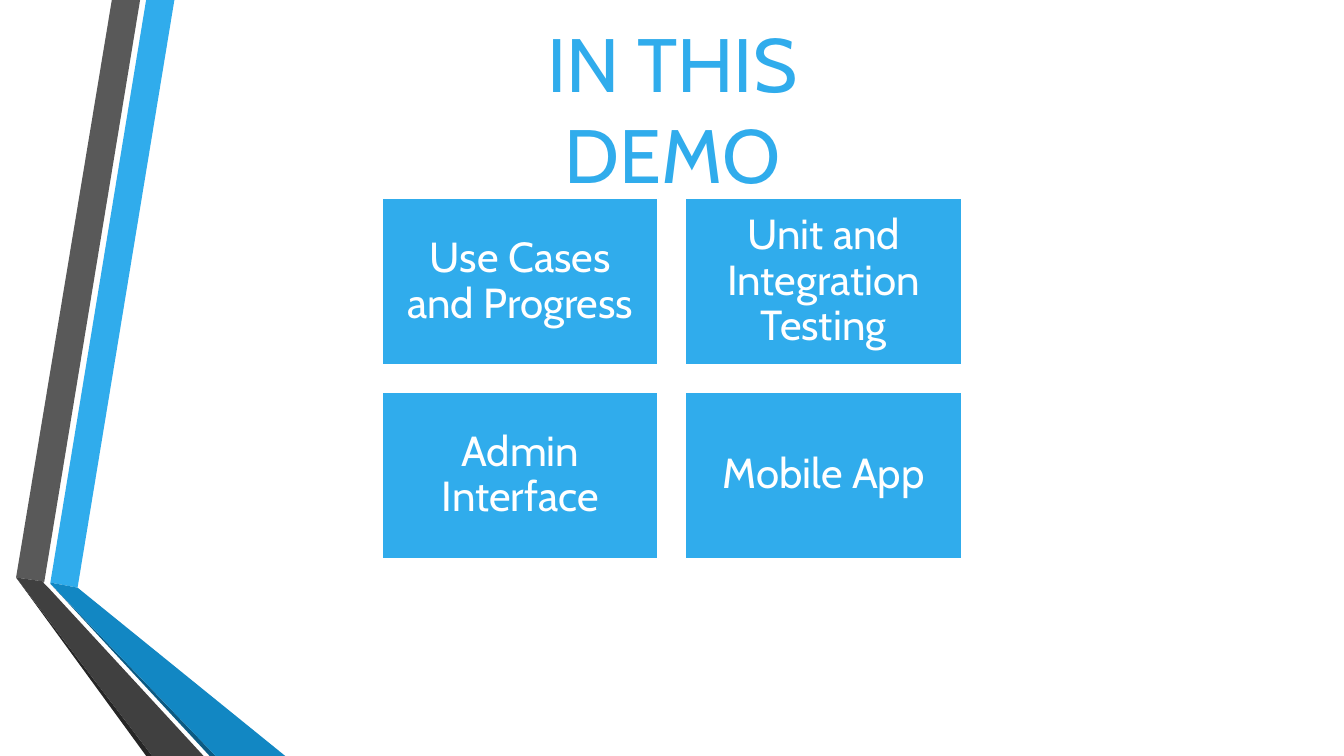
import pptx
import pptx.dml.color
import pptx.enum.shapes
import pptx.enum.text
import pptx.util

Inches = pptx.util.Inches
Pt = pptx.util.Pt
RGBColor = pptx.dml.color.RGBColor

WHITE = RGBColor(0xFF, 0xFF, 0xFF)
BLUE = RGBColor(0x30, 0xAC, 0xEC)
MID_BLUE = RGBColor(0x12, 0x87, 0xC3)
DARK_BLUE = RGBColor(0x0C, 0x5A, 0x82)
GRAY = RGBColor(0x59, 0x59, 0x59)
DARK_GRAY = RGBColor(0x40, 0x40, 0x40)
BLACK_GRAY = RGBColor(0x26, 0x26, 0x26)

RIBBONS = [
    (BLUE, [(0.5, 5.78), (0.77, 5.83), (1.73, 0), (1.45, 0)]),
    (GRAY, [(1.39, 0), (1.11, 0), (0.16, 5.73), (0.44, 5.77)]),
    (BLACK_GRAY, [(0.16, 5.73), (1.45, 7.5), (1.51, 7.5)]),
    (DARK_BLUE, [(0.5, 5.79), (2.08, 7.5), (2.14, 7.5)]),
    (MID_BLUE, [(0.5, 5.79), (2.14, 7.5), (2.83, 7.5), (0.77, 5.83), (0.5, 5.78)]),
    (DARK_GRAY, [(2.02, 7.5), (0.48, 5.83), (0.43, 5.78), (0.44, 5.77), (0.16, 5.73), (1.51, 7.5)]),
]
TOPICS = ["Use Cases and Progress", "Unit and Integration Testing", "Admin Interface", "Mobile App"]
TILE_LEFT, TILE_TOP = 3.79, 1.97
TILE_WIDTH, TILE_HEIGHT = 2.74, 1.65
TILE_STEP_X, TILE_STEP_Y = 3.01, 1.92


def apply(target, values):
    for name, value in values.items():
        setattr(target, name, value)


class SlideStyle:
    font = "Cabin"

    def __init__(self, page):
        self.page = page

    def add_label(self, box, text, size, color, frame_format, para_format):
        frame = box.text_frame
        apply(frame, {"word_wrap": True, **frame_format})
        para = frame.paragraphs[0]
        apply(para, {"alignment": pptx.enum.text.PP_ALIGN.CENTER, **para_format})
        span = para.add_run()
        span.text = text
        apply(span.font, {"name": self.font, "size": Pt(size)})
        span.font.color.rgb = color

    def paint(self, shape, color):
        shape.shadow.inherit = False
        shape.fill.solid()
        shape.fill.fore_color.rgb = color

    def ribbon(self, color, points):
        corners = [(Inches(x), Inches(y)) for x, y in points]
        builder = self.page.shapes.build_freeform(*corners[0])
        builder.add_line_segments(corners[1:], close=True)
        shape = builder.convert_to_shape()
        self.paint(shape, color)
        shape.line.fill.background()

    def title(self, text, left, top, width, height):
        box = self.page.shapes.add_textbox(*map(Inches, (left, top, width, height)))
        self.add_label(box, text, 54, BLUE, {}, {})

    def tile(self, text, left, top, width, height):
        box = self.page.shapes.add_shape(
            pptx.enum.shapes.MSO_SHAPE.RECTANGLE, *map(Inches, (left, top, width, height)))
        self.paint(box, BLUE)
        box.line.color.rgb = WHITE
        box.line.width = Pt(1.25)
        margins = {f"margin_{side}": Inches(0.12) for side in ("left", "top", "right", "bottom")}
        frame_format = {"vertical_anchor": pptx.enum.text.MSO_ANCHOR.MIDDLE, **margins}
        self.add_label(box, text, 30, WHITE, frame_format, {"line_spacing": 0.9})


deck = pptx.Presentation()
apply(deck, {"slide_width": Inches(13.33), "slide_height": Inches(7.5)})
style = SlideStyle(deck.slides.add_slide(deck.slide_layouts[6]))

for color, points in RIBBONS:
    style.ribbon(color, points)
style.title("IN THIS DEMO", 4.27, 0.12, 4.8, 1.01)
for index, topic in enumerate(TOPICS):
    row, column = divmod(index, 2)
    style.tile(topic, TILE_LEFT + column * TILE_STEP_X, TILE_TOP + row * TILE_STEP_Y,
               TILE_WIDTH, TILE_HEIGHT)

deck.save("out.pptx")
